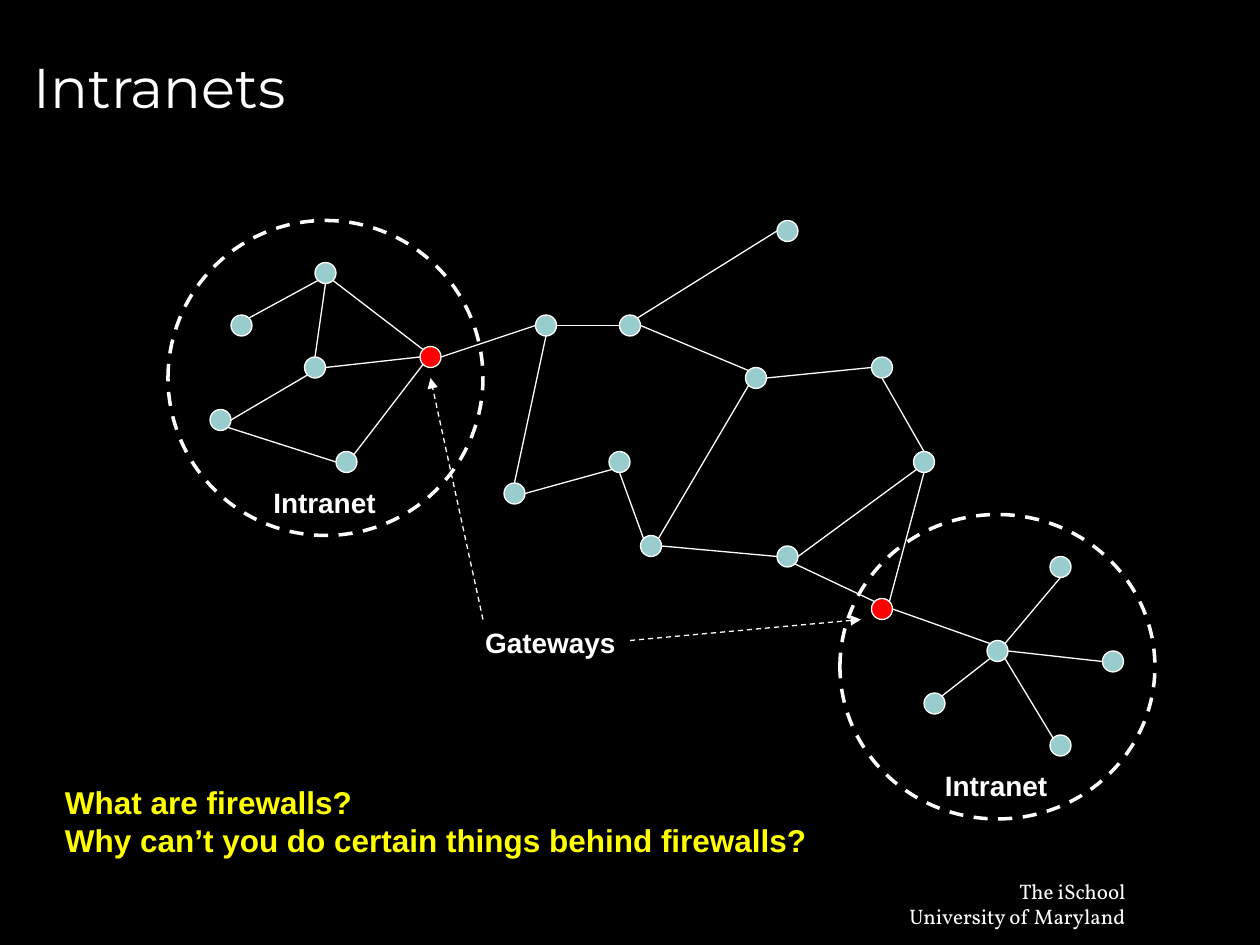
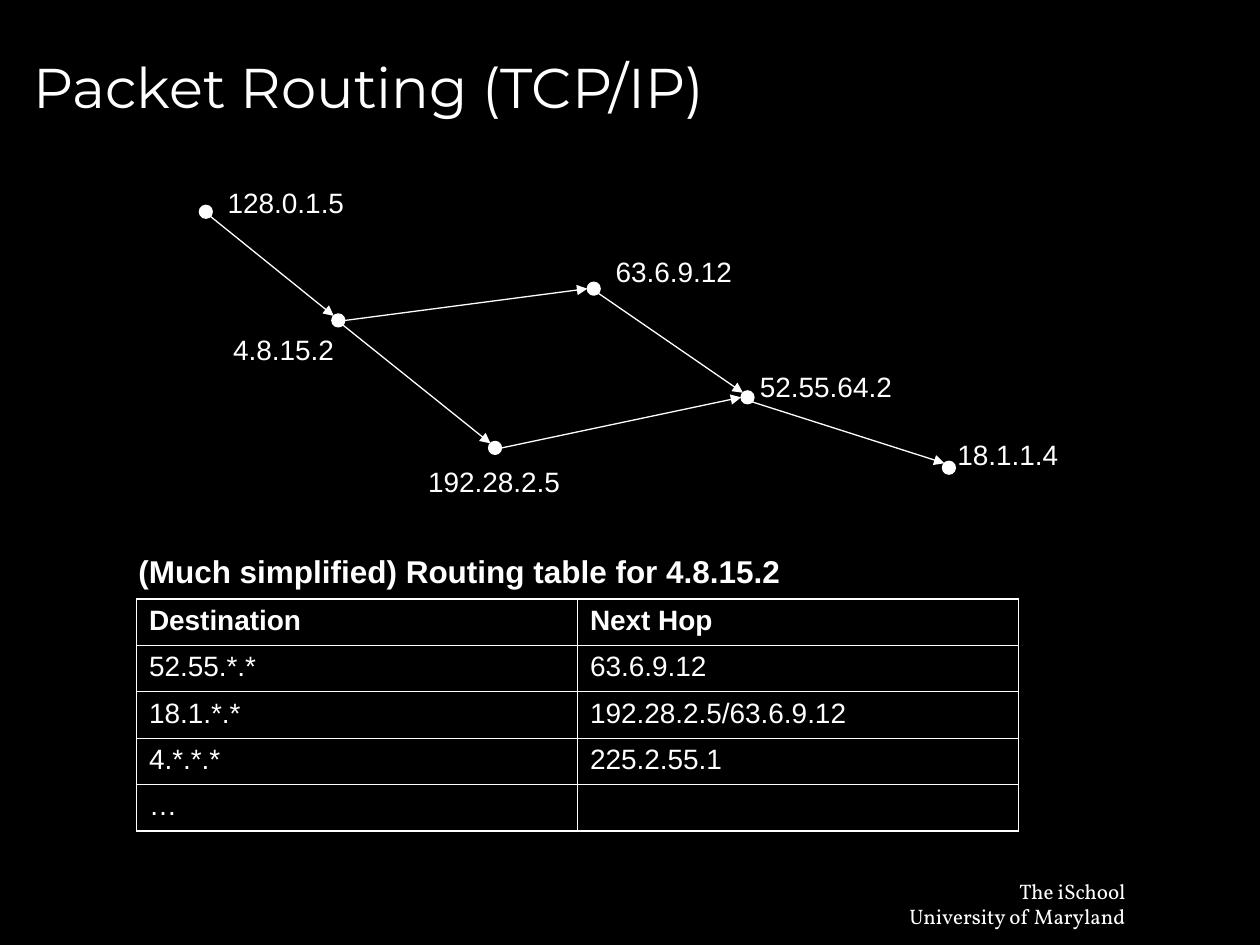
from math import sqrt
from lxml.etree import SubElement as Sub
from pptx import Presentation
from pptx.dml.color import RGBColor as RGB
from pptx.enum.dml import MSO_LINE as Dash
from pptx.enum.shapes import MSO_CONNECTOR as Conn, MSO_SHAPE as Shape
from pptx.enum.text import MSO_ANCHOR as Anchor, MSO_AUTO_SIZE as Auto, PP_ALIGN as Align
from pptx.oxml.ns import qn
from pptx.util import Cm, Pt

HUES = {"back": "000000", "white": "FFFFFF", "node": "99CCCC", "gate": "FF0000", "ask": "FFFF00"}
COLOR = {name: RGB.from_string(code) for name, code in HUES.items()}
WHITE = COLOR["white"]
DIAG = sqrt(0.5)
SITES = {"N": (0, -1), "S": (0, 1), "E": (1, 0), "W": (-1, 0),
         "NE": (DIAG, -DIAG), "NW": (-DIAG, -DIAG), "SE": (DIAG, DIAG), "SW": (-DIAG, DIAG)}
STEP = 2.54 / 12  # grid of the intranet map, in cm


def write(frame, lines, size=16, bold=False, font="Arial", color=WHITE, align=Align.LEFT):
    """Fill a text frame, one paragraph per line."""
    for i, line in enumerate(lines):
        para = frame.add_paragraph() if i else frame.paragraphs[0]
        para.alignment = align
        if not line:
            Sub(para._p, qn("a:endParaRPr"), sz=str(size * 100))
            continue
        run = para.add_run()
        run.text = line
        run.font.name, run.font.size, run.font.bold = font, Pt(size), bold
        run.font.color.rgb = color


def join(slide, start, end, arrow=False, dash=False):
    """Draw a thin white line between two points given in cm."""
    line = slide.shapes.add_connector(Conn.STRAIGHT, *map(Cm, start + end))
    line.line.color.rgb = WHITE
    line.line.width = Pt(0.75)
    if dash:
        line.line.dash_style = Dash.DASH
    if arrow:
        Sub(line.line._ln, qn("a:tailEnd"), type="triangle")
    Sub(line._element.spPr, qn("a:effectLst"))


deck = Presentation()
deck.slide_width, deck.slide_height = Cm(25.4), Cm(19.05)
fill = deck.slide_master.background.fill
fill.solid()
fill.fore_color.rgb = COLOR["back"]

# Titles and footers
pages = []
for name in ("Intranets", "Packet Routing (TCP/IP)"):
    slide = deck.slides.add_slide(deck.slide_layouts[5])
    title = slide.shapes.title
    title.left, title.top, title.width, title.height = Cm(0.42), Cm(0.3), Cm(24.13), Cm(2.86)
    title.text_frame.vertical_anchor = Anchor.MIDDLE
    title.text_frame.auto_size = Auto.NONE
    write(title.text_frame, [name], 32, font="Montserrat")
    foot = slide.shapes.add_textbox(Cm(18), Cm(17.58), Cm(4.94), Cm(1.28))
    foot.text_frame.word_wrap = False
    foot.text_frame.auto_size = Auto.SHAPE_TO_FIT_TEXT
    write(foot.text_frame, ["The iSchool", "University of Maryland"], 12,
          font="Vollkorn", align=Align.RIGHT)
    pages.append(slide)
intra, route = pages

# Networks: node centres, then links as node, side, node, side
hosts = {
    "A": (31, 26), "B": (52, 31), "C": (23, 31), "D": (21, 40), "E": (33, 44), "F": (30, 35),
    "G": (41, 34), "H": (59, 44), "I": (49, 47), "J": (62, 52), "K": (72, 36), "L": (60, 31),
    "M": (75, 22), "N": (75, 53), "O": (84, 58), "P": (88, 44), "Q": (101, 54), "R": (95, 62),
    "S": (89, 67), "T": (106, 63), "U": (84, 35), "V": (101, 71),
}
wires = """
    C NE A SW, F N A S, D E F SW, A SE G NW, F E G W, E NE G SW, D SE E W, G E B W,
    L NE M W, B E L W, L E K NW, I N B S, I E H SW, K E U W, J NE K SW, J NW H S,
    J E N W, U S P N, N E P SW, N SE O NW, O NE P S, O E R NW,
    S NE R SW, V NW R SE, T W R E, Q S R NE"""
stops = {"A": (4.15, 4.27), "B": (6.82, 6.46), "C": (11.97, 5.82),
         "D": (9.98, 9.03), "E": (15.07, 8.01), "F": (19.13, 9.43)}
hops = "A SE B NW, B E C W, B SE D NW, D E E W, C SE E NW, E SE F NW"

for slide, nodes, links, unit, rad, gates, hue in (
        (intra, hosts, wires, STEP, STEP, "GO", "node"),
        (route, stops, hops, 1, 0.13, "", "white")):
    spots = {key: (x * unit, y * unit) for key, (x, y) in nodes.items()}
    for key, (x, y) in spots.items():
        dot = slide.shapes.add_shape(Shape.OVAL, Cm(x - rad), Cm(y - rad), Cm(2 * rad), Cm(2 * rad))
        dot.shadow.inherit = False
        dot.fill.solid()
        dot.fill.fore_color.rgb = COLOR["gate" if key in gates else hue]
        dot.line.color.rgb = WHITE
        dot.line.width = Pt(0.75)
    for link in links.split(","):
        a, out, b, into = link.split()
        start, end = [tuple(p + rad * s for p, s in zip(spots[key], SITES[side]))
                      for key, side in ((a, out), (b, into))]
        join(slide, start, end, arrow=slide is route)

# Intranet borders and gateway arrows
for box in ((16, 21, 30, 30), (80, 49, 30, 29)):
    ring = intra.shapes.add_shape(Shape.OVAL, *(Cm(n * STEP) for n in box))
    ring.shadow.inherit = False
    ring.fill.background()
    ring.line.color.rgb = WHITE
    ring.line.width = Pt(2)
    ring.line.dash_style = Dash.DASH
for ends in ((46, 59, 41, 36), (60, 61, 82, 59)):
    x, y, to_x, to_y = (n * STEP for n in ends)
    join(intra, (x, y), (to_x, to_y), arrow=True, dash=True)

# Labels: slide, left, top, width, lines, size, bold, colour
for slide, x, y, wide, lines, size, bold, hue in (
        (intra, 5.26, 9.67, 2.58, ["Intranet"], 16, True, "white"),
        (intra, 18.8, 15.37, 2.58, ["Intranet"], 16, True, "white"),
        (intra, 9.53, 12.49, 3.14, ["Gateways"], 16, True, "white"),
        (intra, 1.06, 15.67, 15.47, ["What are firewalls?",
         "Why can’t you do certain things behind firewalls?"], 18, True, "ask"),
        (route, 4.34, 3.61, 2.86, ["128.0.1.5"], 16, False, "white"),
        (route, 4.45, 6.58, 2.55, ["4.8.15.2"], 16, False, "white"),
        (route, 8.38, 9.24, 3.18, ["192.28.2.5"], 16, False, "white"),
        (route, 12.16, 5, 2.86, ["63.6.9.12"], 16, False, "white"),
        (route, 15.07, 7.32, 3.18, ["52.55.64.2"], 16, False, "white"),
        (route, 19.05, 8.69, 2.55, ["18.1.1.4"], 16, False, "white"),
        (route, 2.54, 11, 13.46, ["(Much simplified) Routing table for 4.8.15.2"],
         18, True, "white")):
    label = slide.shapes.add_textbox(Cm(x), Cm(y), Cm(wide), Cm(0.94 if len(lines) < 2 else 1.78))
    label.text_frame.word_wrap = False
    label.text_frame.auto_size = Auto.SHAPE_TO_FIT_TEXT
    write(label.text_frame, lines, size, bold, color=COLOR[hue])

# Routing table
rows = [("Destination", "Next Hop"), ("52.55.*.*", "63.6.9.12"),
        ("18.1.*.*", "192.28.2.5/63.6.9.12"), ("4.*.*.*", "225.2.55.1"), ("…", "")]
last = len(rows) - 1
grid = route.shapes.add_table(len(rows), 2, Cm(2.75), Cm(12.07), Cm(17.78), Cm(4.68)).table
grid.first_row = grid.horz_banding = False
for r, row in enumerate(rows):
    for c, text in enumerate(row):
        cell = grid.cell(r, c)
        write(cell.text_frame, [text], bold=r == 0)
        props = cell._tc.get_or_add_tcPr()
        for side, outer in (("L", c == 0), ("R", c == 1), ("T", r == 0), ("B", r == last)):
            edge = Sub(props, qn(f"a:ln{side}"), w=str(Pt(1.08 if outer else 0.45)))
            Sub(Sub(edge, qn("a:solidFill")), qn("a:srgbClr"), val=HUES["white"])
        cell.fill.background()

deck.save("out.pptx")
